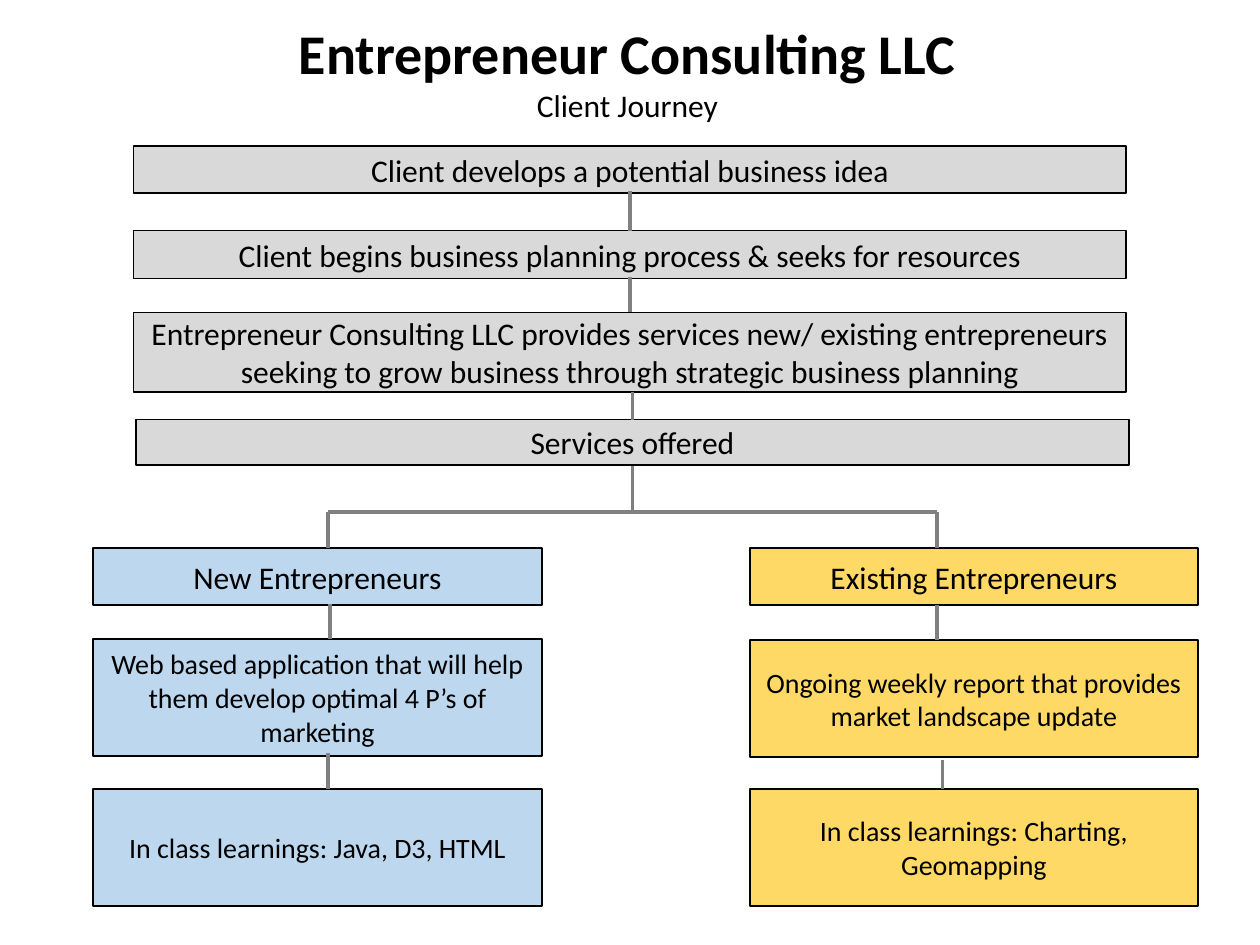
from lxml.etree import SubElement
from pptx import Presentation
from pptx.dml.color import RGBColor
from pptx.enum.shapes import MSO_CONNECTOR, MSO_SHAPE
from pptx.enum.text import MSO_ANCHOR, MSO_AUTO_SIZE, PP_ALIGN
from pptx.oxml.ns import qn
from pptx.util import Inches, Pt

COLORS = {
    "text": "000000",
    "outline": "000000",
    "connector": "808080",
    "journey": "D9D9D9",
    "new": "BDD7EE",
    "existing": "FFD966",
}
FONT = "Calibri"
JOURNEY_WIDTH = 7.88
BRANCH_WIDTH = 3.56
BRANCH_TOP = 4.06
LEFT_AXIS, CENTER_AXIS, RIGHT_AXIS = 2.6, 5.02, 7.44

JOURNEY_STEPS = [
    (1.06, 1.16, 0.37, "Client develops a potential business idea"),
    (1.06, 1.83, 0.38, "Client begins business planning process & seeks for resources"),
    (1.06, 2.48, 0.63, "Entrepreneur Consulting LLC provides services new/ existing "
     "entrepreneurs seeking to grow business through strategic business planning"),
    (1.08, 3.33, 0.36, "Services offered"),
]
BRANCHES = [
    ("new", 0.74, 5.07, [
        "New Entrepreneurs",
        "Web based application that will help them develop optimal 4 P’s of marketing",
        "In class learnings: Java, D3, HTML",
    ]),
    ("existing", 5.95, 5.08, [
        "Existing Entrepreneurs",
        "Ongoing weekly report that provides market landscape update",
        "In class learnings: Charting, Geomapping",
    ]),
]
STEP_LINKS = [
    (5, 1.52, 5, 1.83),
    (5, 2.2, 5, 2.48),
    (CENTER_AXIS, 3.11, CENTER_AXIS, 3.33),
    (2.62, 4.79, 2.62, 5.07),
    (LEFT_AXIS, 5.98, LEFT_AXIS, 6.26),
    (RIGHT_AXIS, 4.8, RIGHT_AXIS, 5.08),
    (7.48, 6.03, 7.48, 6.26),
]
FORK_LINKS = [
    (CENTER_AXIS, 3.7, CENTER_AXIS, 4.08),
    (CENTER_AXIS, BRANCH_TOP, LEFT_AXIS, BRANCH_TOP),
    (RIGHT_AXIS, BRANCH_TOP, CENTER_AXIS, BRANCH_TOP),
    (LEFT_AXIS, 4.35, LEFT_AXIS, BRANCH_TOP),
    (RIGHT_AXIS, 4.35, RIGHT_AXIS, BRANCH_TOP),
]


def color(name):
    return RGBColor.from_string(COLORS[name])


def format_paragraph(paragraph, size, bold=False):
    paragraph.alignment = PP_ALIGN.CENTER
    for run in paragraph.runs:
        run.font.name = FONT
        run.font.size = Pt(size)
        run.font.bold = bold
        run.font.color.rgb = color("text")


def set_title(slide, heading, subtitle):
    title = slide.shapes.title
    title.left, title.top = Inches(0), Inches(0.1)
    title.width, title.height = Inches(9.96), Inches(0.98)
    frame = title.text_frame
    frame.text = heading + "\n" + subtitle
    frame.word_wrap = True
    frame.auto_size = MSO_AUTO_SIZE.NONE
    frame.vertical_anchor = MSO_ANCHOR.TOP
    format_paragraph(frame.paragraphs[0], 32, bold=True)
    format_paragraph(frame.paragraphs[1], 18)


def add_box(slide, left, top, width, height, text, fill, size=18):
    shape = slide.shapes.add_shape(
        MSO_SHAPE.RECTANGLE, Inches(left), Inches(top), Inches(width), Inches(height))
    shape.shadow.inherit = False
    shape.fill.solid()
    shape.fill.fore_color.rgb = color(fill)
    shape.line.color.rgb = color("outline")
    shape.line.width = Pt(1)
    frame = shape.text_frame
    frame.text = text
    frame.word_wrap = True
    frame.vertical_anchor = MSO_ANCHOR.MIDDLE
    format_paragraph(frame.paragraphs[0], size)


def add_link(shapes, points):
    connector = shapes.add_connector(
        MSO_CONNECTOR.STRAIGHT, *[Inches(value) for value in points])
    connector.line.color.rgb = color("connector")
    connector.line.width = Pt(2.25)
    SubElement(connector._element.spPr, qn("a:effectLst"))


def add_branch(slide, fill, left, service_top, texts):
    rows = [(4.35, 0.45, 18), (service_top, 0.93, 16), (6.26, 0.93, 16)]
    for (top, height, size), text in zip(rows, texts):
        add_box(slide, left, top, BRANCH_WIDTH, height, text, fill, size)


def main():
    presentation = Presentation()
    presentation.slide_width = Inches(10)
    presentation.slide_height = Inches(7.5)
    slide = presentation.slides.add_slide(presentation.slide_layouts[5])
    set_title(slide, "Entrepreneur Consulting LLC", "Client Journey")
    for left, top, height, text in JOURNEY_STEPS:
        add_box(slide, left, top, JOURNEY_WIDTH, height, text, "journey")
    for branch in BRANCHES:
        add_branch(slide, *branch)
    for points in STEP_LINKS:
        add_link(slide.shapes, points)
    fork = slide.shapes.add_group_shape()
    for points in FORK_LINKS:
        add_link(fork.shapes, points)
    presentation.save("out.pptx")


main()
